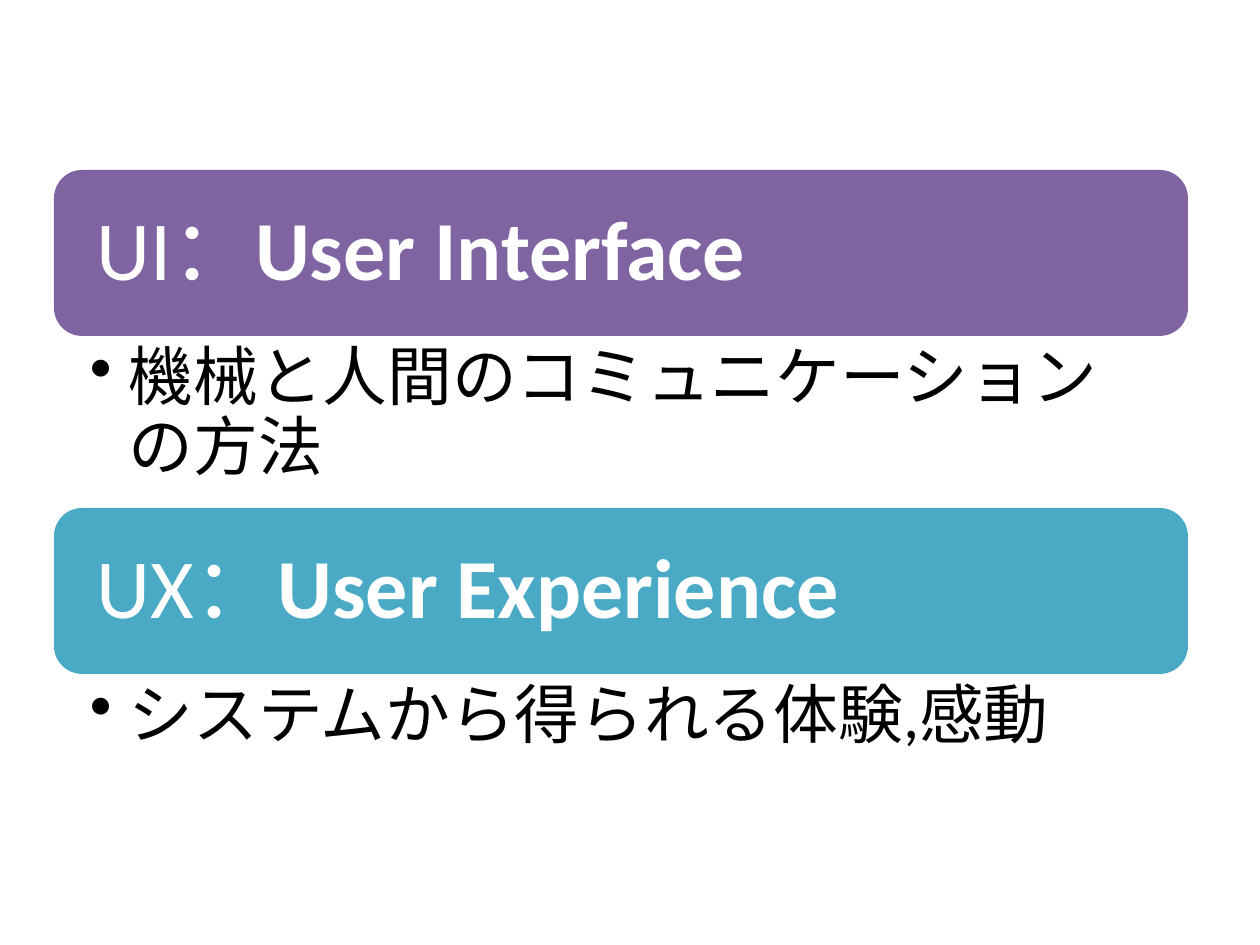
from lxml.etree import SubElement
from pptx import Presentation
from pptx.dml.color import RGBColor
from pptx.enum.shapes import MSO_SHAPE
from pptx.enum.text import MSO_ANCHOR, PP_ALIGN
from pptx.oxml.ns import qn
from pptx.util import Emu, Pt

COLORS = {"violet": "8064A2", "teal": "4AA9C5", "white": "FFFFFF", "black": "000000"}
LEFT, WIDTH = 54, 1134
TOP, STEP, BAR = 170, 338, 166
TOPICS = [
    ("violet", "UI：", "User Interface", "機械と人間のコミュニケーションの方法", 171),
    ("teal", "UX：", "User Experience", "システムから得られる体験,感動", 110),
]


def px(count):
    return Emu(round(count * 914400 / 126))


def color(name):
    return RGBColor.from_string(COLORS[name])


class Board:
    font = "Calibri"

    def __init__(self, deck):
        self.slide = deck.slides.add_slide(deck.slide_layouts[6])

    def frame(self, shape, anchor, insets):
        frame = shape.text_frame
        frame.word_wrap = True
        frame.vertical_anchor = anchor
        (frame.margin_left, frame.margin_top,
         frame.margin_right, frame.margin_bottom) = map(px, insets)
        return frame.paragraphs[0]

    def style(self, para, size, tint):
        para.alignment = PP_ALIGN.LEFT
        para.line_spacing = 0.9
        para.font.name = self.font
        para.font.size = Pt(size)
        para.font.color.rgb = color(tint)

    def bar(self, top, fill, short, name):
        shape = self.slide.shapes.add_shape(
            MSO_SHAPE.ROUNDED_RECTANGLE, px(LEFT), px(top), px(WIDTH), px(BAR))
        shape.adjustments[0] = 0.17
        shape.shadow.inherit = False
        shape.fill.solid()
        shape.fill.fore_color.rgb = color(fill)
        shape.line.fill.background()
        para = self.frame(shape, MSO_ANCHOR.MIDDLE, (34, 34, 34, 34))
        para.add_run().text = short
        bold = para.add_run()
        bold.text = name
        bold.font.bold = True
        self.style(para, 48, "white")

    def bullet(self, top, height, text):
        box = self.slide.shapes.add_textbox(px(LEFT), px(top), px(WIDTH), px(height))
        para = self.frame(box, MSO_ANCHOR.TOP, (36, 9, 47, 9))
        para.text = text
        props = para._p.get_or_add_pPr()
        props.set("marL", str(px(39)))
        props.set("indent", str(-px(39)))
        SubElement(props, qn("a:buChar")).set("char", "•")
        self.style(para, 37, "black")


def main():
    deck = Presentation()
    deck.slide_width, deck.slide_height = px(1260), px(945)
    board = Board(deck)
    for row, (fill, short, name, text, height) in enumerate(TOPICS):
        top = TOP + row * STEP
        board.bar(top, fill, short, name)
        board.bullet(top + BAR, height, text)
    deck.save("out.pptx")


if __name__ == "__main__":
    main()
